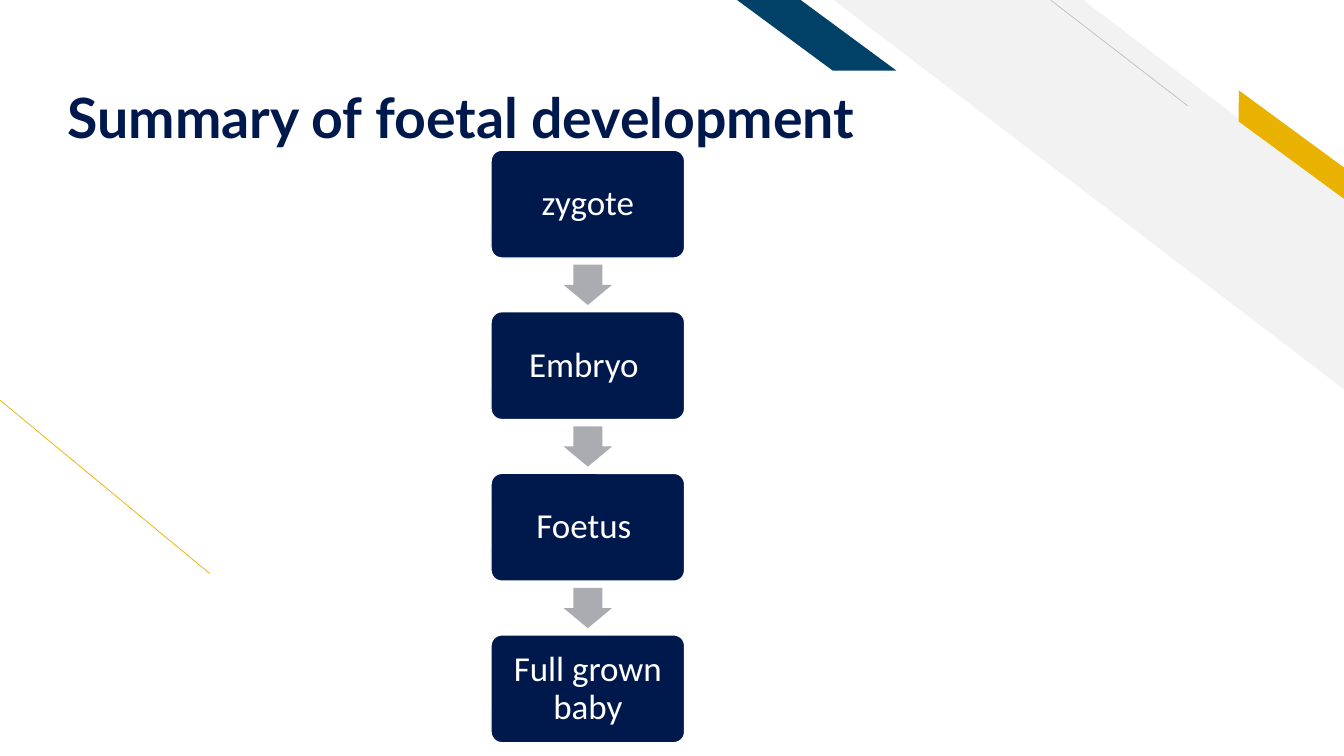
"""Build a slide that sums up foetal development as a vertical chain of stages."""
from lxml import etree
from pptx import Presentation
from pptx.dml.color import RGBColor
from pptx.enum.shapes import MSO_CONNECTOR, MSO_SHAPE
from pptx.enum.text import MSO_ANCHOR, MSO_AUTO_SIZE, PP_ALIGN
from pptx.oxml.ns import qn
from pptx.util import Inches, Pt

STRAIGHT = MSO_CONNECTOR.STRAIGHT
STRIPE, SLANT = MSO_SHAPE.DIAGONAL_STRIPE, MSO_SHAPE.PARALLELOGRAM
BOX, ARROW = MSO_SHAPE.ROUNDED_RECTANGLE, MSO_SHAPE.DOWN_ARROW
CENTER, LEFT = PP_ALIGN.CENTER, PP_ALIGN.LEFT
MIDDLE, BOTTOM = MSO_ANCHOR.MIDDLE, MSO_ANCHOR.BOTTOM
NO_FIT = MSO_AUTO_SIZE.NONE

COLORS = {"navy": "00194C", "teal": "014067", "gold": "EAB200", "pale": "F2F2F2",
          "silver": "BFBFBF", "arrow": "ABACB2", "white": "FFFFFF"}

TITLE = "Summary of foetal development"
STAGES = ["zygote", "Embryo ", "Foetus ", "Full grown baby"]

STRIPES = [
    (STRIPE, (8.27, 0, 5.07, 3.87), 0.512, 0, "pale"),
    (SLANT, (12.07, 1.31, 1.48, 0.25), 0.72, 36.3, "gold"),
    (SLANT, (7.31, 0, 1.58, 0.7), 1.356, 0, "teal"),
]
LINES = [((2.08, 5.69), (0, 3.97), "gold"), ((11.78, 1.05), (10.42, 0), "silver")]

SLIDE_WIDTH, SLIDE_HEIGHT = 13.33, 7.5
CHAIN_CENTER, CHAIN_TOP = 5.83, 1.49
BOX_WIDTH, BOX_HEIGHT, STEP = 1.92, 1.07, 1.603
ARROW_WIDTH, ARROW_HEIGHT = 0.48, 0.4


def color(name):
    return RGBColor.from_string(COLORS[name])


def add_shape(page, kind, place, adjustments, fill):
    shape = page.shapes.add_shape(kind, *map(Inches, place))
    shape.shadow.inherit = False
    shape.fill.solid()
    shape.fill.fore_color.rgb = color(fill)
    shape.line.fill.background()
    for index, value in enumerate(adjustments):
        shape.adjustments[index] = value
    return shape


def add_line(page, start, end, name):
    line = page.shapes.add_connector(STRAIGHT, *map(Inches, start + end))
    line.line.color.rgb = color(name)
    line.line.width = Pt(0.5)
    etree.SubElement(line._element.spPr, qn("a:effectLst"))


def write(shape, text, font, size, name, bold, align, anchor, insets):
    frame = shape.text_frame
    frame.text = text
    frame.word_wrap = True
    frame.auto_size = NO_FIT
    frame.vertical_anchor = anchor
    (frame.margin_left, frame.margin_top,
     frame.margin_right, frame.margin_bottom) = map(Inches, insets)
    para = frame.paragraphs[0]
    para.alignment = align
    para.line_spacing = 0.9
    span = para.runs[0].font
    span.name, span.size, span.bold = font, Pt(size), bold
    span.color.rgb = color(name)


def add_decoration(page):
    for kind, place, adjustment, angle, fill in STRIPES:
        stripe = add_shape(page, kind, place, [adjustment], fill)
        stripe.rotation = angle
        stripe._element.spPr.get_or_add_xfrm().set("flipH", "1")
    for start, end, name in LINES:
        add_line(page, start, end, name)


def add_title(page):
    title = page.shapes.title
    title.left, title.top, title.width, title.height = map(Inches, (0.57, 0.23, 9.11, 1.26))
    write(title, TITLE, "Lato", 39.6, "navy", True, LEFT, BOTTOM, (0.1, 0.05, 0.1, 0))


def add_chain(page):
    for index, stage in enumerate(STAGES):
        top = CHAIN_TOP + index * STEP
        if index:
            arrow_top = top - (STEP - BOX_HEIGHT + ARROW_HEIGHT) / 2
            place = (CHAIN_CENTER - ARROW_WIDTH / 2, arrow_top, ARROW_WIDTH, ARROW_HEIGHT)
            add_shape(page, ARROW, place, [0.6, 0.5], "arrow")
        place = (CHAIN_CENTER - BOX_WIDTH / 2, top, BOX_WIDTH, BOX_HEIGHT)
        box = add_shape(page, BOX, place, [0.1], "navy")
        box.line.color.rgb = color("white")
        box.line.width = Pt(1)
        write(box, stage, "Calibri", 25, "white", False, CENTER, MIDDLE, (0.1,) * 4)


deck = Presentation()
deck.slide_width, deck.slide_height = Inches(SLIDE_WIDTH), Inches(SLIDE_HEIGHT)
page = deck.slides.add_slide(deck.slide_layouts[5])
add_decoration(page)
add_title(page)
add_chain(page)
deck.save("out.pptx")
